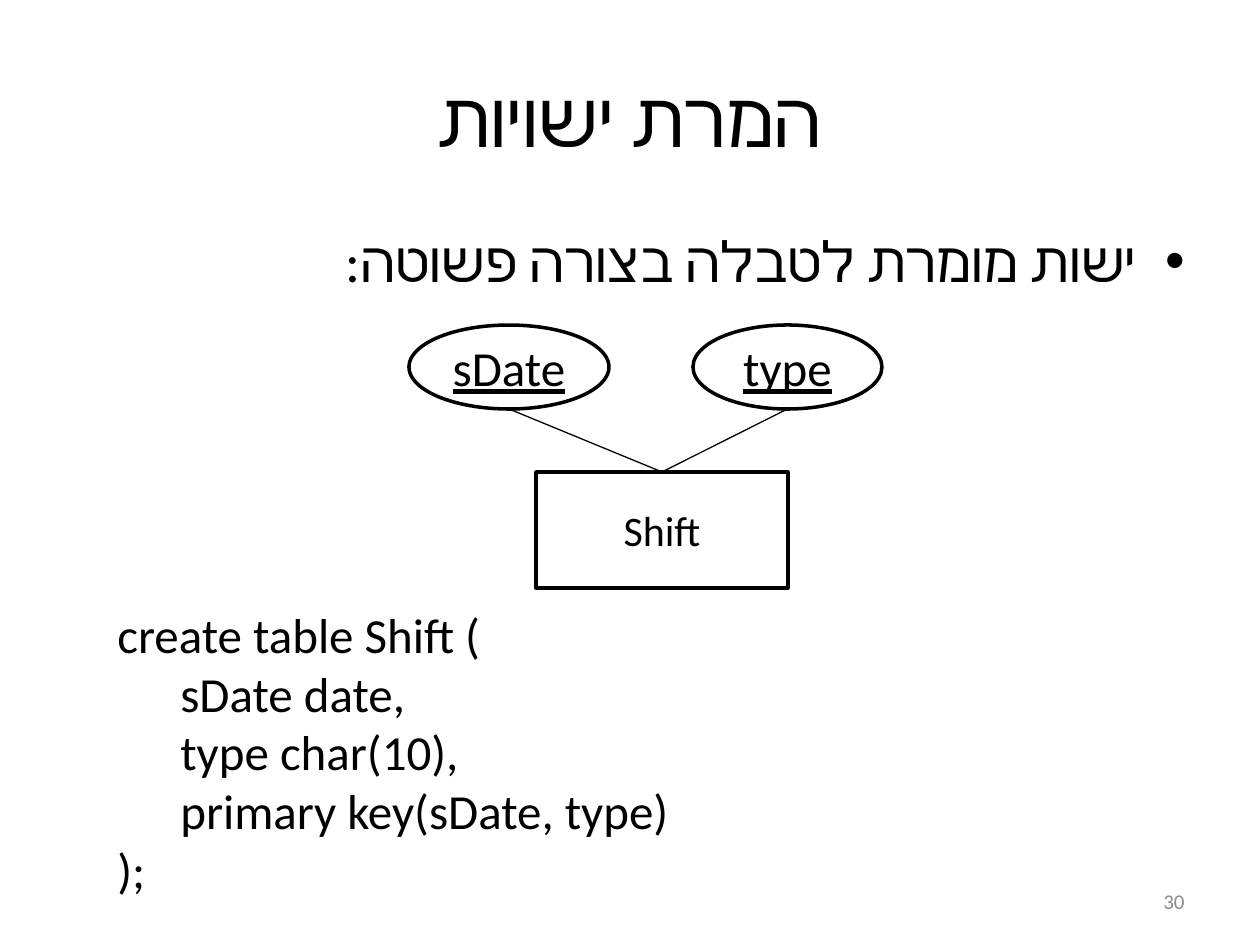
from pptx import Presentation
from pptx.dml.color import RGBColor
from pptx.enum.shapes import MSO_CONNECTOR as Connector, MSO_SHAPE as Preset
from pptx.enum.text import MSO_ANCHOR as Anchor, PP_ALIGN as Align
from pptx.oxml.ns import qn
from pptx.util import Emu, Pt
from lxml.etree import SubElement

TITLE = ("המרת ישויות", (63, 38, 1134, 157))
BULLET = ("ישות מומרת לטבלה בצורה פשוטה:", (63, 220, 1134, 284))
NUMBER = ("30", (903, 876, 294, 50))
ENTITY = ("Shift", (536, 472, 252, 116))
ATTRIBUTES = [
    ("type", (693, 325, 189, 84)),
    ("sDate", (409, 325, 200, 84)),
]
CODE = (
    [
        "create table Shift (",
        "\tsDate date,",
        "\ttype char(10),",
        "\tprimary key(sDate, type)",
        ");",
    ],
    (105, 598, 998, 310),
)
THEME = {
    "font": "Calibri",
    "ink": RGBColor(0, 0, 0),
    "muted": RGBColor(0x8C, 0x8C, 0x8C),
    "title": 44,
    "body": 32,
    "code": 28,
    "entity": 24,
    "number": 12,
    "outline": 2,
    "link": 0.75,
}
HANGING = 48


def px(value):
    return Emu(round(value * 914400 / 126))


deck = Presentation()
deck.slide_width, deck.slide_height = px(1260), px(945)
page = deck.slides.add_slide(deck.slide_layouts[6])


def write(box, lines, size, color="ink", align=Align.LEFT, anchor=Anchor.MIDDLE,
          underline=False):
    frame = box.text_frame
    frame.word_wrap = True
    frame.vertical_anchor = anchor
    for index, line in enumerate(lines):
        para = frame.paragraphs[0] if index == 0 else frame.add_paragraph()
        para.alignment = align
        span = para.add_run()
        span.text = line
        font = span.font
        font.name, font.size = THEME["font"], Pt(THEME[size])
        font.color.rgb = THEME[color]
        if underline:
            font.underline = True
        SubElement(font._element, qn("a:cs"), typeface=THEME["font"])
    return frame


def add_text(lines, area, size, **style):
    box = page.shapes.add_textbox(*map(px, area))
    return write(box, lines, size, **style)


def add_node(preset, label, area, size, **style):
    node = page.shapes.add_shape(preset, *map(px, area))
    node.shadow.inherit = False
    node.fill.background()
    node.line.color.rgb = THEME["ink"]
    node.line.width = Pt(THEME["outline"])
    write(node, [label], size, align=Align.CENTER, **style)
    return node


def add_link(attribute, entity):
    link = page.shapes.add_connector(
        Connector.STRAIGHT,
        attribute.left + attribute.width // 2, attribute.top + attribute.height,
        entity.left + entity.width // 2, entity.top,
    )
    link.line.color.rgb = THEME["ink"]
    link.line.width = Pt(THEME["link"])
    SubElement(link._element.spPr, qn("a:effectLst"))


add_text([TITLE[0]], TITLE[1], "title", align=Align.CENTER)

bullet = add_text([BULLET[0]], BULLET[1], "body", align=Align.RIGHT,
                  anchor=Anchor.TOP).paragraphs[0]
bullet.space_before = Pt(THEME["body"] * 0.2)
props = bullet._p.get_or_add_pPr()
for name, value in (("marL", px(HANGING)), ("indent", -px(HANGING)), ("rtl", 1)):
    props.set(name, str(int(value)))
SubElement(props, qn("a:buFont"), typeface="Arial")
SubElement(props, qn("a:buChar"), char="•")

add_text([NUMBER[0]], NUMBER[1], "number", color="muted", align=Align.RIGHT)

shift = add_node(Preset.RECTANGLE, *ENTITY, "entity")
for label, area in ATTRIBUTES:
    add_link(add_node(Preset.OVAL, label, area, "code", underline=True), shift)

add_text(*CODE, "code", anchor=Anchor.TOP)

deck.save("out.pptx")
